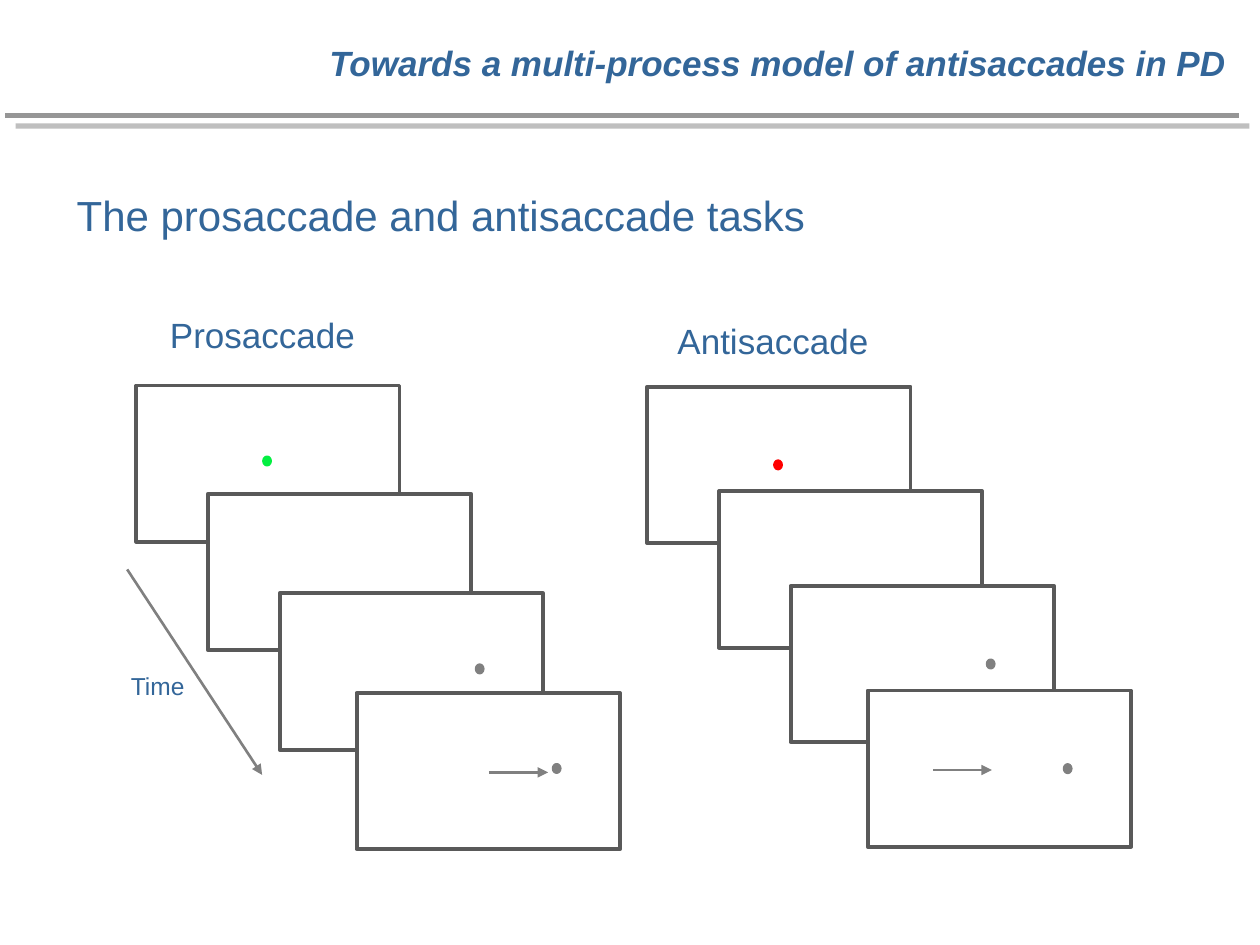
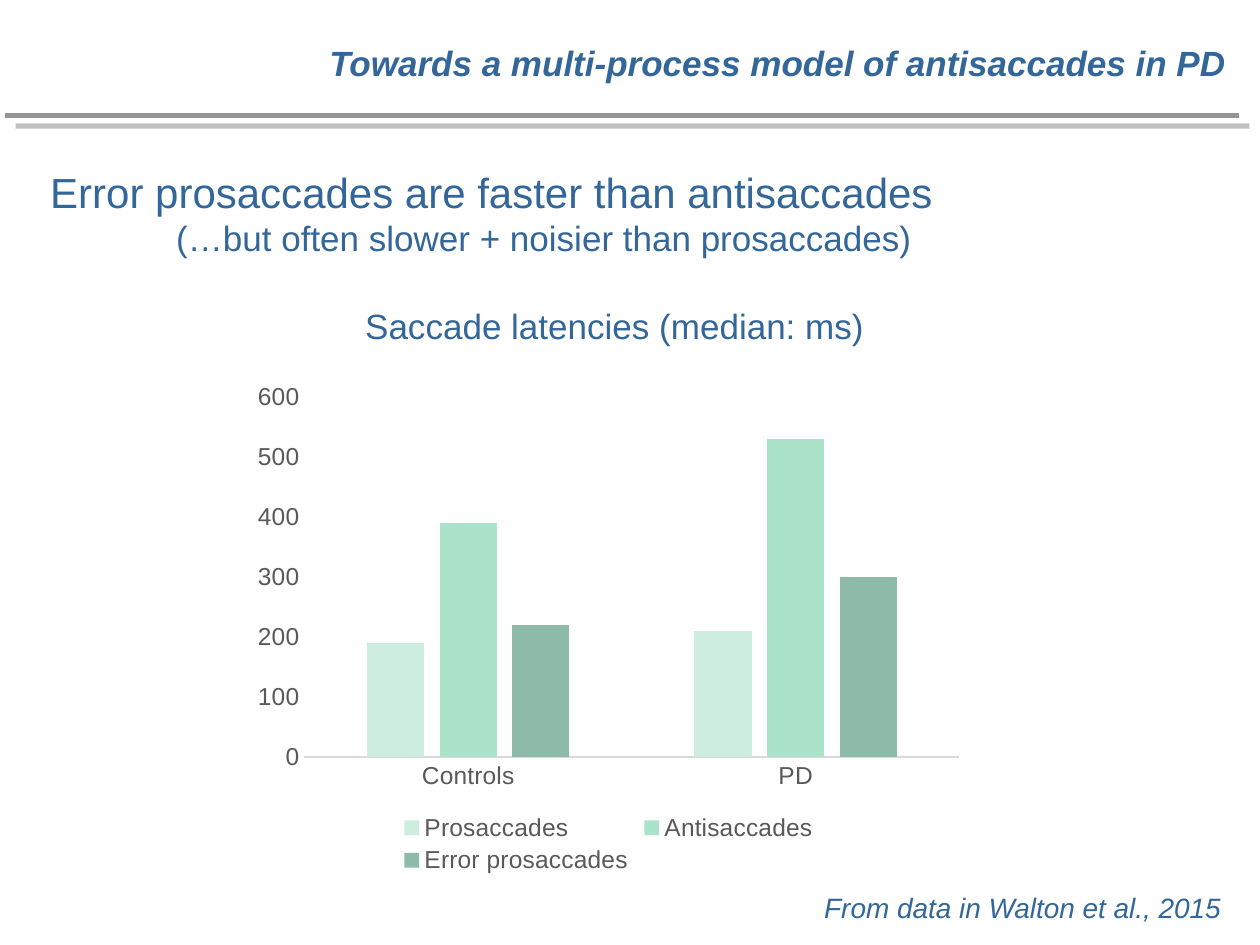
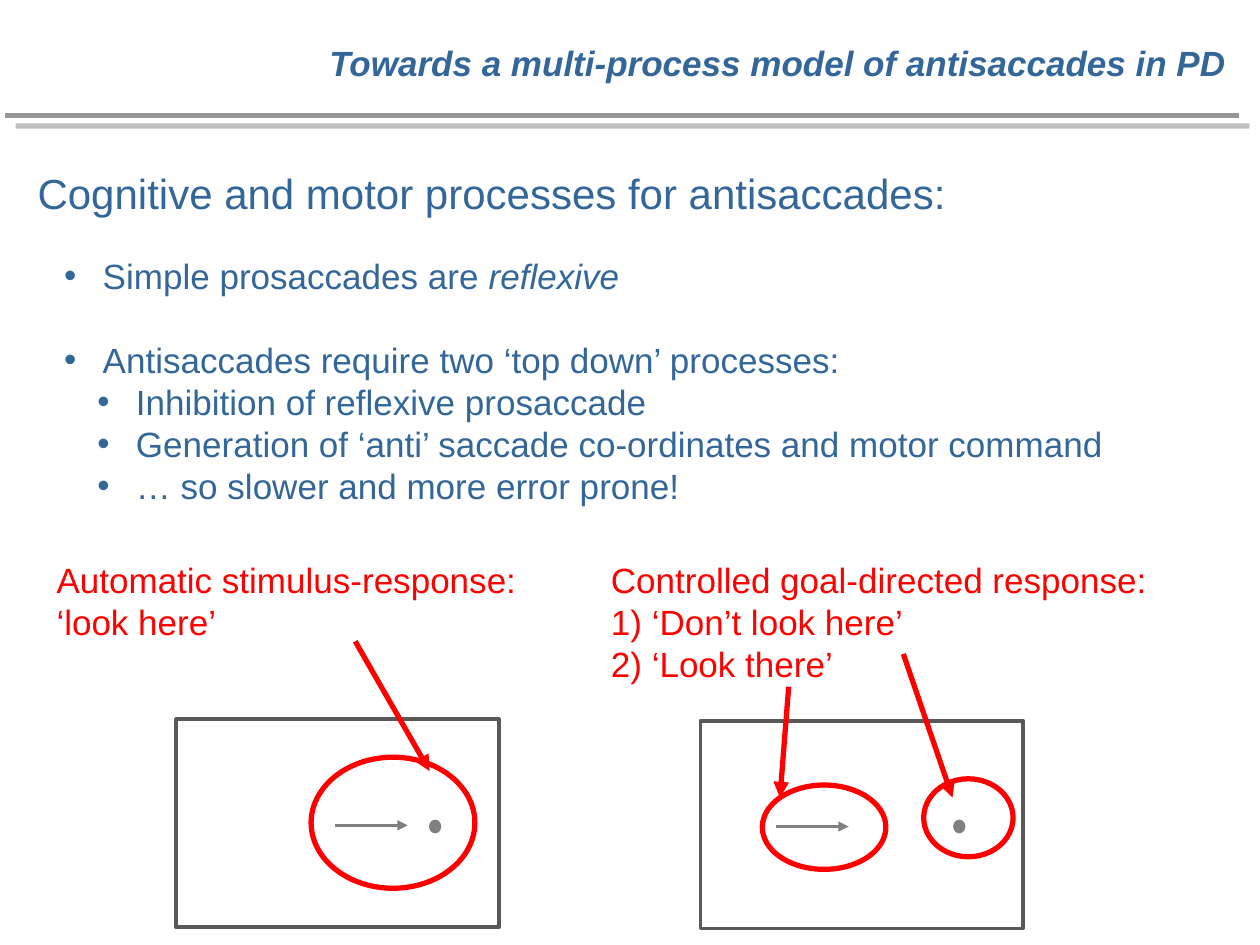
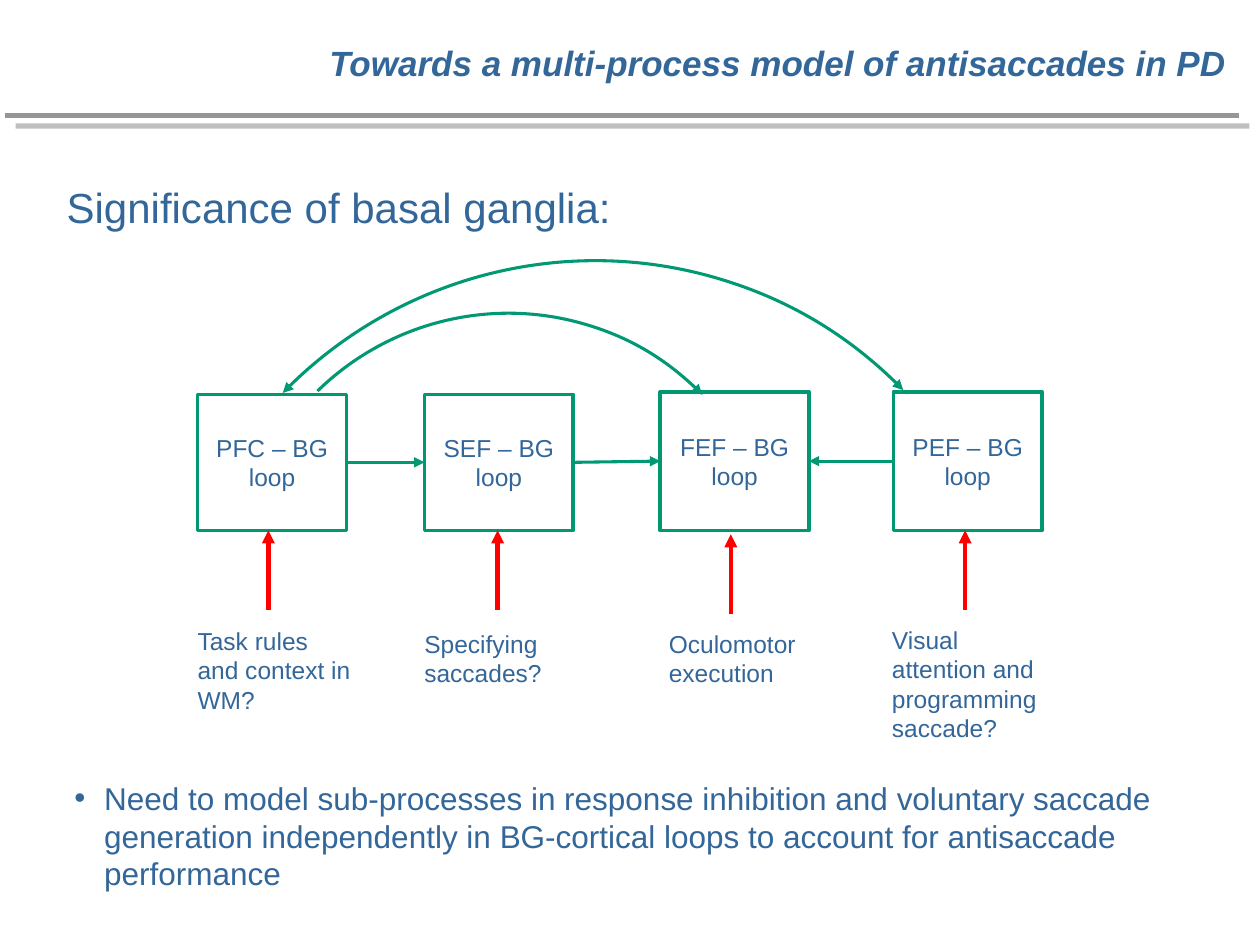
from pptx import Presentation
from pptx.chart.data import CategoryChartData
from pptx.dml.color import RGBColor
from pptx.enum.chart import XL_CHART_TYPE, XL_LEGEND_POSITION, XL_TICK_MARK
from pptx.enum.shapes import MSO_CONNECTOR, MSO_SHAPE
from pptx.enum.text import MSO_ANCHOR, MSO_AUTO_SIZE, PP_ALIGN
from pptx.oxml import parse_xml
from pptx.oxml.ns import nsdecls, qn
from pptx.util import Pt
from lxml.etree import SubElement

BLUE = RGBColor(0x33, 0x66, 0x99)
RED = RGBColor(0xFF, 0x00, 0x00)
LIME = RGBColor(0x03, 0xEF, 0x41)
GREEN = RGBColor(0x00, 0x97, 0x71)
JADE = RGBColor(0x00, 0x99, 0x73)
DARK = RGBColor(0x59, 0x59, 0x59)
GREY = RGBColor(0x80, 0x80, 0x80)
RULE = RGBColor(0x96, 0x96, 0x96)
PALE = RGBColor(0xD9, 0xD9, 0xD9)
WHITE = RGBColor(0xFF, 0xFF, 0xFF)
BARS = [RGBColor(0xCD, 0xED, 0xDE), RGBColor(0xAA, 0xE2, 0xCA), RGBColor(0x8D, 0xBB, 0xA7)]
FONT = "Arial"
TITLE = "Towards a multi-process model of antisaccades in PD"
TITLE_ONLY, WITH_BODY = 5, 1
HANG = 22


def place(shape, box):
    shape.left, shape.top, shape.width, shape.height = map(Pt, box)


def style(font, size, color=BLUE, bold=None, italic=None):
    font.name, font.size = FONT, Pt(size)
    font.color.rgb = color
    font.bold, font.italic = bold, italic


def add_slide(deck, layout=TITLE_ONLY):
    slide = deck.slides.add_slide(deck.slide_layouts[layout])
    title = slide.shapes.title
    place(title, (168, 12, 540, 48))
    frame = title.text_frame
    frame.text = TITLE
    frame.vertical_anchor = MSO_ANCHOR.MIDDLE
    frame.auto_size = MSO_AUTO_SIZE.NONE
    para = frame.paragraphs[0]
    para.alignment = PP_ALIGN.RIGHT
    style(para.font, 20, bold=True, italic=True)
    return slide


def add_text(slide, text, box, size, color=BLUE, align=PP_ALIGN.LEFT, italic=None):
    shape = slide.shapes.add_textbox(*map(Pt, box))
    frame = shape.text_frame
    frame.word_wrap = True
    frame.auto_size = MSO_AUTO_SIZE.SHAPE_TO_FIT_TEXT
    frame.text = text
    for para in frame.paragraphs:
        para.alignment = align
        style(para.font, size, color, italic=italic)
    return frame


def add_list(slide, box, items, size, hang):
    body = slide.placeholders[1]
    place(body, box)
    frame = body.text_frame
    frame.auto_size = MSO_AUTO_SIZE.NONE
    for num, (runs, level, gap) in enumerate(items):
        para = frame.add_paragraph() if num else frame.paragraphs[0]
        para.level = level
        props = para._p.get_or_add_pPr()
        props.set("marL", str(Pt(hang + 19 * level)))
        props.set("indent", str(-Pt(hang)))
        SubElement(props, qn("a:buFont")).set("typeface", FONT)
        SubElement(props, qn("a:buChar")).set("char", "•")
        para.space_before = Pt(gap)
        style(para.font, size)
        for part, slant in runs:
            run = para.add_run()
            run.text = part
            if slant:
                run.font.italic = True


def add_shape(slide, kind, box, line, width, fill=None):
    shape = slide.shapes.add_shape(kind, *map(Pt, box))
    shape.shadow.inherit = False
    if fill is None:
        shape.fill.background()
    else:
        shape.fill.solid()
        shape.fill.fore_color.rgb = fill
    shape.line.color.rgb = line
    shape.line.width = Pt(width)
    return shape


def add_frame(slide, box, fill=WHITE):
    add_shape(slide, MSO_SHAPE.RECTANGLE, box, DARK, 2.25, fill)


def add_dot(slide, left, top, color=GREY, size=(3.6, 4.3)):
    add_shape(slide, MSO_SHAPE.OVAL, (left, top, *size), color, 2, color)


def add_ring(slide, box):
    add_shape(slide, MSO_SHAPE.OVAL, box, RED, 3)


def add_tips(shape, *ends):
    for end in ends:
        SubElement(shape.get_or_add_ln(), qn(f"a:{end}")).set("type", "triangle")


def add_line(slide, ends, color, width):
    line = slide.shapes.add_connector(MSO_CONNECTOR.STRAIGHT, *map(Pt, ends))
    line.line.color.rgb = color
    line.line.width = Pt(width)
    SubElement(line.element.spPr, qn("a:effectLst"))
    return line


def add_arrow(slide, ends, color=GREY, width=1.5):
    add_tips(add_line(slide, ends, color, width), "tailEnd")


def add_arc(slide, box, *ends):
    arc = add_shape(slide, MSO_SHAPE.ARC, box, JADE, 1.75)
    arc.rotation = 315.7
    add_tips(arc, *ends)
    return arc


def add_rule(deck, slide):
    rule = add_line(slide, (3, 66, 708, 66), RULE, 3)
    rule.element.spPr.find(qn("a:effectLst")).append(parse_xml(
        f'<a:outerShdw {nsdecls("a")} dist="{Pt(8.5)}" dir="2700000" algn="ctr">'
        f'<a:srgbClr val="{GREY}"><a:alpha val="50000"/></a:srgbClr></a:outerShdw>'))
    rule.element.nvCxnSpPr.cNvPr.set("id", "20")
    deck.slide_master.shapes.element.append(rule.element)


def add_trial(slide, left, tops, color, drop):
    steps = (0, 41, 82, 126)
    dots = ((73, color), None, (112.5, GREY), (112.5, GREY))
    for step, top, dot in zip(steps, tops, dots):
        add_frame(slide, (left + step, top, 150.5, 89.3), WHITE if step else None)
        if dot:
            add_dot(slide, left + step + dot[0], top + drop, dot[1])


def add_bars(slide, box):
    data = CategoryChartData()
    data.categories = ["Controls", "PD"]
    data.add_series("Prosaccades", (190, 210))
    data.add_series("Antisaccades", (390, 530))
    data.add_series("Error prosaccades", (220, 300))
    chart = slide.shapes.add_chart(XL_CHART_TYPE.COLUMN_CLUSTERED, *map(Pt, box), data).chart
    chart.has_title = False
    style(chart.font, 14, DARK)
    chart.has_legend = True
    chart.legend.position = XL_LEGEND_POSITION.BOTTOM
    chart.legend.include_in_layout = False
    style(chart.legend.font, 14, DARK)
    for axis in (chart.category_axis, chart.value_axis):
        axis.major_tick_mark = axis.minor_tick_mark = XL_TICK_MARK.NONE
        axis.has_major_gridlines = False
        style(axis.tick_labels.font, 14, DARK)
    chart.category_axis.format.line.color.rgb = PALE
    chart.category_axis.format.line.width = Pt(0.75)
    scale = chart.value_axis
    scale.minimum_scale, scale.maximum_scale, scale.major_unit = 0, 600, 100
    scale.format.line.fill.background()
    plot = chart.plots[0]
    plot.gap_width, plot.overlap, plot.vary_by_categories = 219, -27, False
    for series, color in zip(plot.series, BARS):
        series.format.fill.solid()
        series.format.fill.fore_color.rgb = color


def add_loop(slide, text, box):
    shape = add_shape(slide, MSO_SHAPE.RECTANGLE, box, GREEN, 2)
    frame = shape.text_frame
    frame.word_wrap = True
    frame.vertical_anchor = MSO_ANCHOR.MIDDLE
    frame.text = text
    for para in frame.paragraphs:
        para.alignment = PP_ALIGN.CENTER
        style(para.font, 14)


def draw_tasks(deck):
    slide = add_slide(deck)
    add_rule(deck, slide)
    add_text(slide, "The prosaccade and antisaccade tasks", (36.7, 105, 644, 36), 24)
    add_text(slide, "Prosaccade", (90, 175.7, 140, 31.5), 20)
    add_text(slide, "Antisaccade", (380, 179.3, 140, 31.5), 20)
    add_text(slide, "Time", (67.7, 380, 65, 24.5), 14)
    add_trial(slide, 77.8, (220.3, 282.2, 339.1, 396), LIME, 41)
    add_trial(slide, 369.8, (221, 280.8, 334.8, 394.6), RED, 42.5)
    add_arrow(slide, (279.4, 441.4, 313.2, 441.4))
    add_arrow(slide, (533.2, 440, 566.8, 440))
    add_arrow(slide, (72.7, 325.4, 149.8, 442.8))


def draw_times(deck):
    slide = add_slide(deck)
    add_bars(slide, (139, 213, 417.6, 289.4))
    add_text(slide, "Saccade latencies (median: ms)", (201.6, 170.6, 324, 31.5), 20)
    frame = add_text(slide, "Error prosaccades are faster than antisaccades\n"
                     "(…but often slower + noisier than prosaccades)", (21.6, 91.4, 652, 65.5), 24)
    second = frame.paragraphs[1]
    second._p.get_or_add_pPr().set("marL", str(Pt(72)))
    second.font.size = Pt(20)
    add_text(slide, "From data in Walton et al., 2015", (219.6, 505.4, 485.3, 26.6), 16,
             align=PP_ALIGN.RIGHT, italic=True)


def draw_steps(deck):
    slide = add_slide(deck, WITH_BODY)
    add_text(slide, "Cognitive and motor processes for antisaccades:", (14.4, 92.2, 590, 36), 24)
    add_list(slide, (29.5, 141.8, 676.8, 177), [
        ([("Simple prosaccades are ", False), ("reflexive", True)], 0, 0),
        ([("Antisaccades require two ‘top down’ processes:", False)], 0, 24),
        ([("Inhibition of reflexive prosaccade", False)], 1, 0),
        ([("Generation of ‘anti’ saccade co-ordinates and motor command", False)], 1, 0),
        ([("… so slower and more error prone!", False)], 1, 0),
    ], 20, HANG)
    add_text(slide, "Automatic stimulus-response:\v‘look here’", (25.2, 315.4, 300, 55.4), 20, RED)
    add_text(slide, "Controlled goal-directed response:\v1) ‘Don’t look here’\n2) ‘Look there’",
             (342, 315.4, 331, 80), 20, RED)
    for left, top, start in ((100.8, 411.1, 191.5), (400.3, 411.8, 443.5)):
        add_frame(slide, (left, top, 184.3, 118.8))
        add_dot(slide, left + 145.4, 469.4, size=(5, 5.8))
        add_arrow(slide, (start, top + 60.5, start + 41.5, top + 60.5))
    for ring in ((177.8, 432.7, 93.6, 74.9), (527.8, 445, 51.1, 44.6), (435.6, 448.6, 70.6, 48.2)):
        add_ring(slide, ring)
    for ends in ((203, 366.5, 245.5, 440.6), (516.2, 373.7, 544.3, 455.8), (450.7, 392.4, 445.7, 455.8)):
        add_arrow(slide, ends, RED, 3)


def draw_loops(deck):
    slide = add_slide(deck, WITH_BODY)
    add_text(slide, "Significance of basal ganglia:", (31, 100, 396.7, 36), 24)
    stages = [
        ("PFC – BG loop", 113, 225.4, 153.4, 303.1, "Task rules and context in WM?", 105.8, 354.2, 102.2),
        ("SEF – BG loop", 242.6, 225.4, 284.4, 303.1, "Specifying saccades?", 235.4, 355.7, 105.8),
        ("FEF – BG\nloop", 377.3, 223.9, 417.6, 305.3, "Oculomotor execution", 375.1, 355.7, 105.8),
        ("PEF – BG\nloop", 510.5, 223.9, 551.5, 303.1, "Visual attention and programming saccade?",
         502.6, 353.5, 105.8),
    ]
    for name, left, top, mid, tip, role, edge, head, width in stages:
        add_loop(slide, name, (left, top, 85, 303.1 - top))
        add_arrow(slide, (mid, tip + 45.4, mid, tip), RED, 2.5)
        add_text(slide, role, (edge, head, width, 41), 14)
    for ends in ((198.7, 264.2, 242.6, 264.2), (327.6, 264.2, 377.3, 263.5), (510.5, 263.5, 462.2, 263.5)):
        add_arrow(slide, ends, JADE, 1.75)
    add_arc(slide, (133.9, 179.3, 311.8, 310.3), "tailEnd")
    outer = add_arc(slide, (90, 149.8, 496.8, 493.2), "headEnd", "tailEnd")
    outer.adjustments[0] = 161.09
    add_list(slide, (35.3, 441.4, 682.6, 72.7), [
        ([("Need to model sub-processes in response inhibition and voluntary saccade generation "
           "independently in BG-cortical loops to account for antisaccade performance", False)], 0, 0),
    ], 18, 17)


def main():
    deck = Presentation()
    deck.slide_width, deck.slide_height = Pt(720), Pt(540)
    draw_tasks(deck)
    draw_times(deck)
    draw_steps(deck)
    draw_loops(deck)
    deck.save("out.pptx")


if __name__ == "__main__":
    main()
